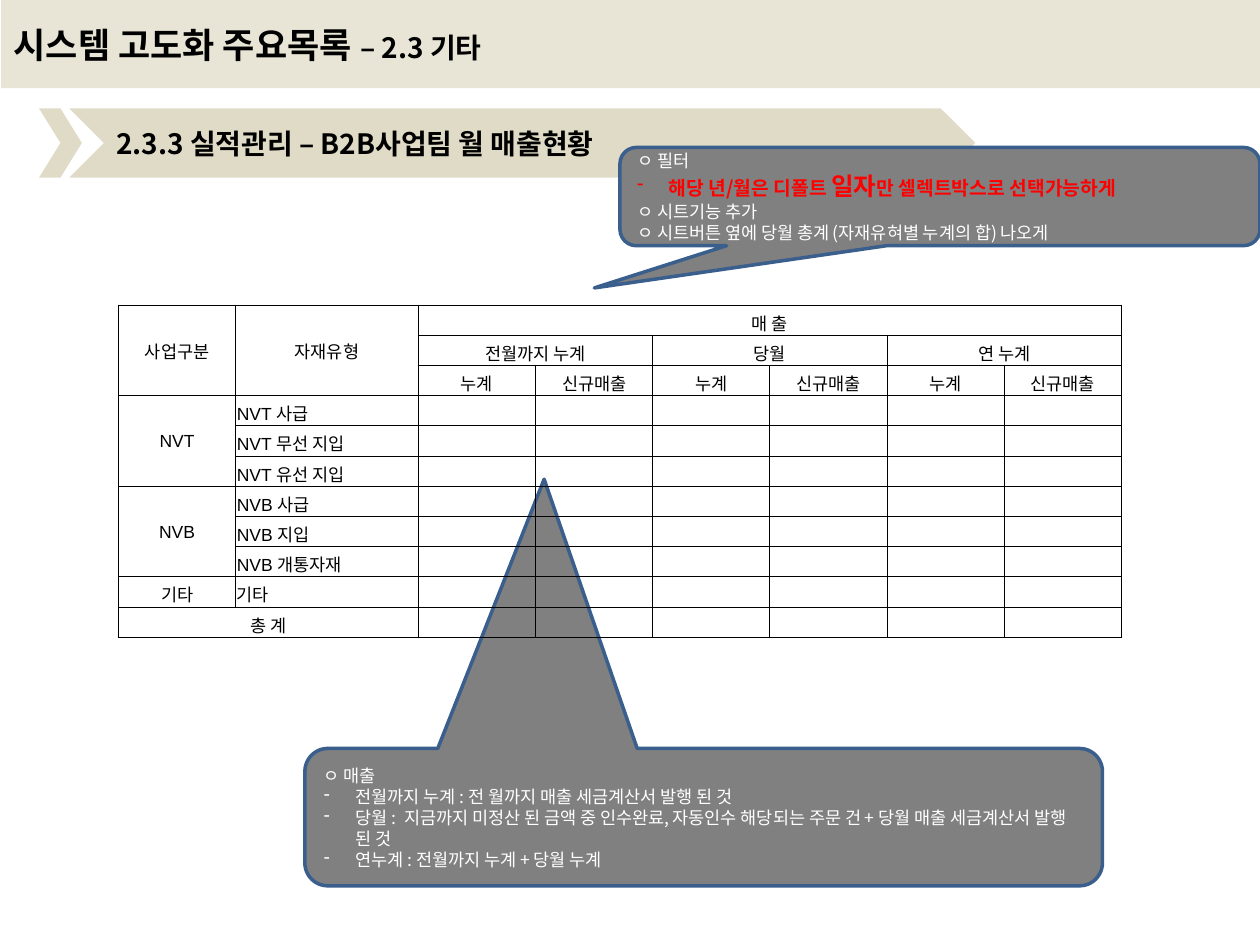
from lxml import etree
from pptx import Presentation
from pptx.dml.color import RGBColor
from pptx.enum.shapes import MSO_SHAPE
from pptx.enum.text import MSO_ANCHOR, PP_ALIGN
from pptx.oxml.ns import qn
from pptx.util import Inches, Pt

RECT, CHEVRON = MSO_SHAPE.RECTANGLE, MSO_SHAPE.CHEVRON
CALLOUT = MSO_SHAPE.ROUNDED_RECTANGULAR_CALLOUT
LEFT, CENTER = PP_ALIGN.LEFT, PP_ALIGN.CENTER
MIDDLE, BOTTOM = MSO_ANCHOR.MIDDLE, MSO_ANCHOR.BOTTOM
KOREAN, LATIN = "Noto Sans CJK KR", "Arial"
BLACK, WHITE, RED = "000000", "FFFFFF", "FF0000"
SAND, GRAY, BLUE = "C4BD97", "808080", "3A5F8C"


def color(value):
    return RGBColor.from_string(value)


class SlideBuilder:
    """Holds the style and the current slide, and adds its elements."""

    def __init__(self, slide):
        self.slide = slide

    def span(self, para, text, size=10, ink=BLACK, bold=False, font=KOREAN):
        span = para.add_run()
        span.text = text
        span.font.size = Pt(size)
        span.font.bold = bold
        span.font.color.rgb = color(ink)
        span.font.name = font
        etree.SubElement(span.font._element, qn("a:ea"), typeface=font)

    def shape(self, kind, left, top, width, height, fill):
        box = self.slide.shapes.add_shape(
            kind, Inches(left), Inches(top), Inches(width), Inches(height))
        box.shadow.inherit = False
        box.fill.solid()
        box.fill.fore_color.rgb = color(fill)
        box.line.fill.background()
        box.text_frame.vertical_anchor = MIDDLE
        box.text_frame.paragraphs[0].alignment = LEFT
        return box

    def band(self, kind, left, top, width, height, opacity, spans=()):
        box = self.shape(kind, left, top, width, height, SAND)
        tint = box.fill._xPr.find(".//" + qn("a:srgbClr"))
        etree.SubElement(tint, qn("a:alpha"), val=str(opacity * 1000))
        for text, size in spans:
            self.span(box.text_frame.paragraphs[0], text, size, bold=True)

    def callout(self, left, top, width, height, tip, lines):
        box = self.shape(CALLOUT, left, top, width, height, GRAY)
        box.adjustments[0], box.adjustments[1] = tip
        box.line.color.rgb = color(BLUE)
        box.line.width = Pt(2)
        frame = box.text_frame
        for index, (bulleted, spans) in enumerate(lines):
            para = frame.add_paragraph() if index else frame.paragraphs[0]
            para.alignment = LEFT
            layout = para._p.get_or_add_pPr()
            layout.set("marL", str(Inches(0.25)))
            layout.set("indent", str(-Inches(0.25)))
            if bulleted:
                etree.SubElement(layout, qn("a:buChar"), char="-")
            for text, *style in spans:
                self.span(para, text, *style)

    def cell(self, cell):
        cell.margin_left = cell.margin_right = cell.margin_top = Inches(0.01)
        cell.margin_bottom = 0
        cell.vertical_anchor = BOTTOM
        layout = cell._tc.get_or_add_tcPr()
        for side in ("lnL", "lnR", "lnT", "lnB"):
            line = etree.SubElement(layout, qn("a:" + side), w=str(Pt(0.5)))
            paint = etree.SubElement(line, qn("a:solidFill"))
            etree.SubElement(paint, qn("a:srgbClr"), val=BLACK)
        cell.fill.background()
        etree.SubElement(cell.text_frame.paragraphs[0]._p,
                         qn("a:endParaRPr"), sz="1000")

    def table(self, left, top, widths, row_height, rows, entries):
        height = Inches(row_height * rows)
        table = self.slide.shapes.add_table(
            rows, len(widths), Inches(left), Inches(top),
            Inches(sum(widths)), height).table
        table.first_row = table.horz_banding = False
        for column, width in zip(table.columns, widths):
            column.width = Inches(width)
        for row in table.rows:
            row.height = int(height / rows)
            for cell in row.cells:
                self.cell(cell)
        for row, col, down, across, align, spans in entries:
            cell = table.cell(row, col)
            if down * across > 1:
                cell.merge(table.cell(row + down - 1, col + across - 1))
            if down > 1:
                cell.vertical_anchor = MIDDLE
            para = cell.text_frame.paragraphs[0]
            para.alignment = align
            for text, font in spans:
                self.span(para, text, font=font)


def sales_entries():
    def centered(row, col, down, across, text, font=KOREAN):
        return row, col, down, across, CENTER, [(text, font)]

    entries = [centered(0, 0, 3, 1, "사업구분"),
               centered(0, 1, 3, 1, "자재유형"),
               centered(0, 2, 1, 6, "매 출")]
    for index, period in enumerate(("전월까지 누계", "당월", "연 누계")):
        col = 2 + 2 * index
        entries += [centered(1, col, 1, 2, period),
                    centered(2, col, 1, 1, "누계"),
                    centered(2, col + 1, 1, 1, "신규매출")]
    groups = [("NVT", ("사급", "무선 지입", "유선 지입")),
              ("NVB", ("사급", "지입", "개통자재"))]
    row = 3
    for group, materials in groups:
        entries.append(centered(row, 0, len(materials), 1, group, LATIN))
        for material in materials:
            entries.append((row, 1, 1, 1, LEFT,
                            [(group + " ", LATIN), (material, KOREAN)]))
            row += 1
    return entries + [centered(row, 0, 1, 1, "기타"),
                      (row, 1, 1, 1, LEFT, [("기타", KOREAN)]),
                      centered(row + 1, 0, 1, 2, "총 계")]


def main():
    deck = Presentation()
    deck.slide_width, deck.slide_height = Inches(10), Inches(7.5)
    page = SlideBuilder(deck.slides.add_slide(deck.slide_layouts[6]))

    page.band(RECT, 0.01, 0, 10, 0.7, 39,
              [("시스템 고도화 주요목록 ", 20), ("– 2.3 기타", 16)])
    page.band(CHEVRON, 0.55, 0.86, 7.19, 0.55, 54,
              [("2.3.3 실적관리 – B2B사업팀 월 매출현황", 16)])
    page.band(CHEVRON, 0.31, 0.86, 0.34, 0.55, 54)

    page.callout(4.92, 1.17, 5.08, 0.78, (-0.54, 0.93), [
        (False, [("ㅇ 필터", 10, WHITE)]),
        (True, [("해당 년/월은 디폴트 ", 11, RED, True),
                ("일자", 14, RED, True),
                ("만 셀렉트박스로 선택가능하게", 11, RED, True)]),
        (False, [("ㅇ 시트기능 추가", 10, WHITE)]),
        (False, [("ㅇ 시트버튼 옆에 당월 총계 (자재유혀별 누계의 합) 나오게",
                  10, WHITE)]),
    ])
    page.callout(2.42, 5.94, 6.33, 1.09, (-0.2, -2.46), [
        (False, [("ㅇ 매출", 10, WHITE)]),
        (True, [("전월까지 누계 : 전 월까지 매출 세금계산서 발행 된 것",
                 10, WHITE)]),
        (True, [("당월 :  지금까지 미정산 된 금액 중 인수완료, 자동인수 해당되는 "
                 "주문 건 + 당월 매출 세금계산서 발행 된 것", 10, WHITE)]),
        (True, [("연누계 : 전월까지 누계 + 당월 누계", 10, WHITE)]),
    ])
    page.table(0.94, 2.42, [0.93, 1.45] + [0.93] * 6, 0.24, 11,
               sales_entries())
    deck.save("out.pptx")


if __name__ == "__main__":
    main()
